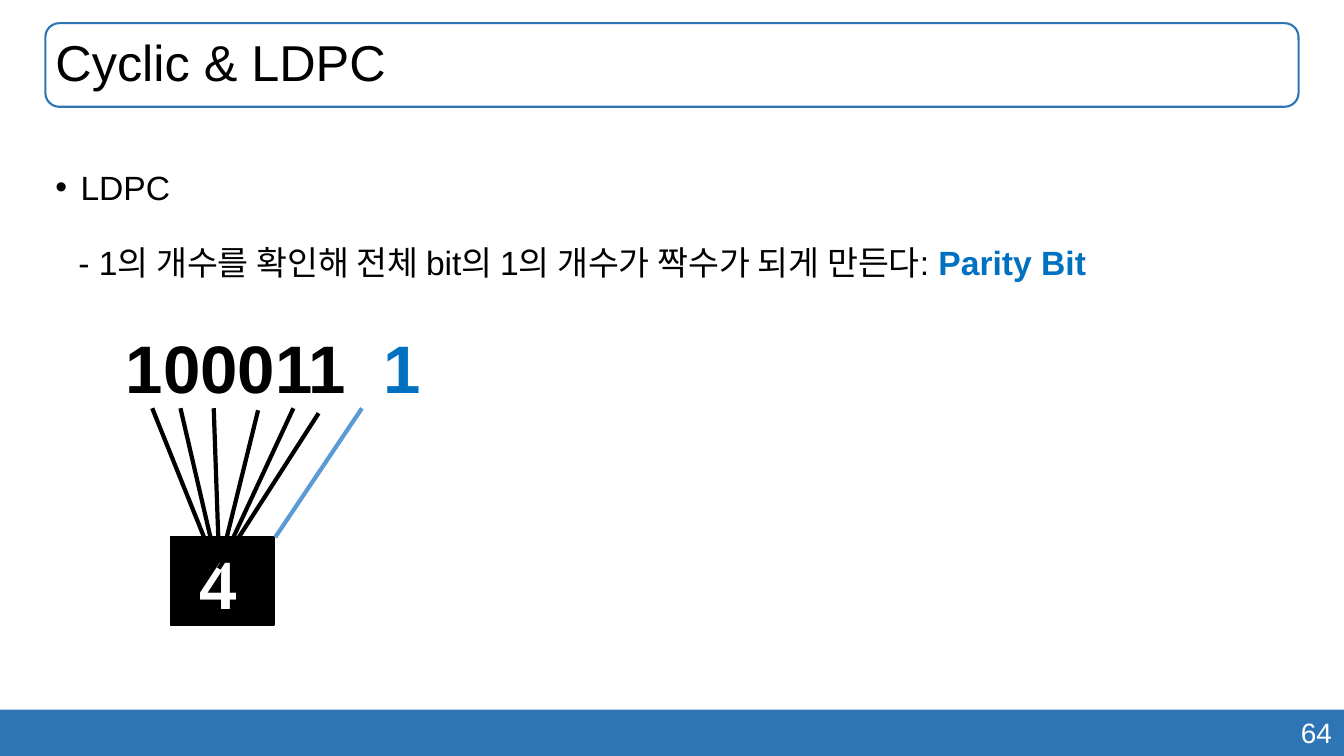
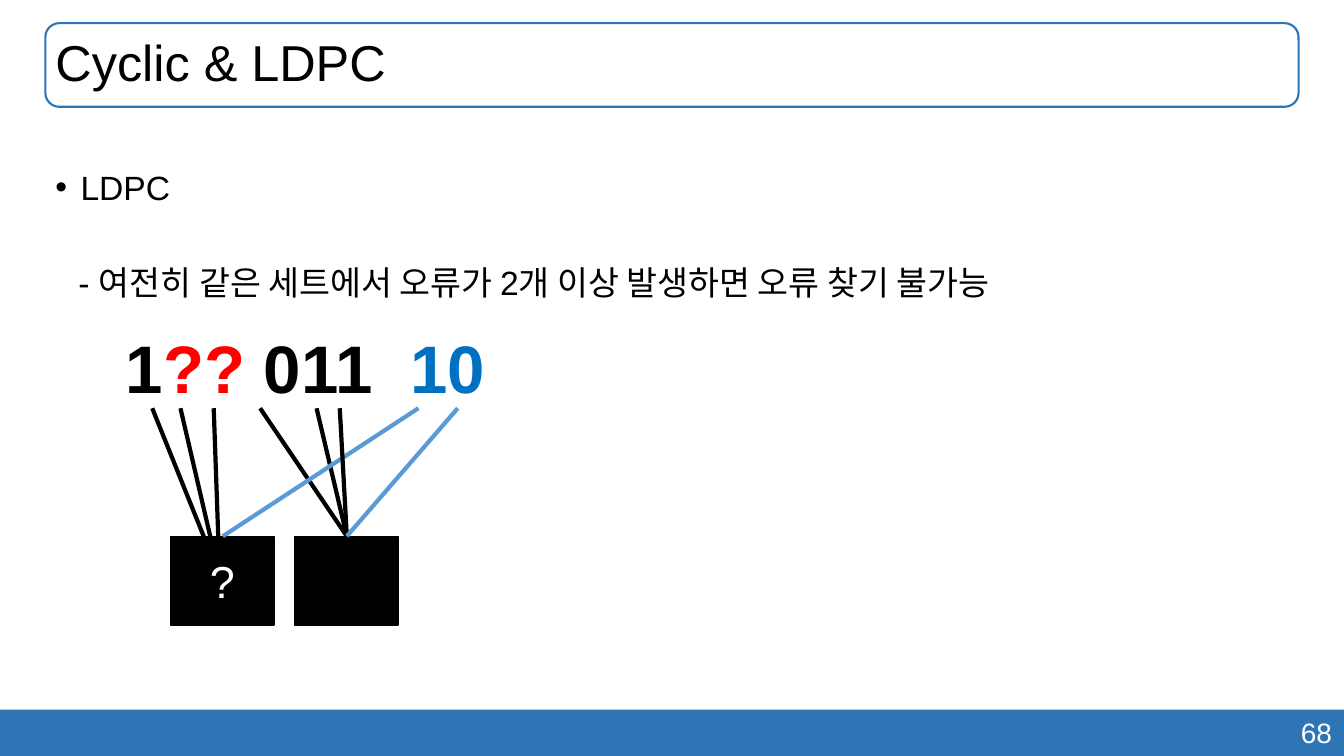
from dataclasses import dataclass

from lxml.etree import SubElement
from pptx import Presentation
from pptx.dml.color import RGBColor
from pptx.enum.shapes import MSO_CONNECTOR as Connector, MSO_SHAPE as Shape
from pptx.enum.text import MSO_ANCHOR as Anchor, PP_ALIGN as Align
from pptx.oxml.ns import qn
from pptx.util import Inches, Pt


@dataclass(frozen=True)
class Theme:
    font: str = "Arial"
    black: str = "000000"
    white: str = "FFFFFF"
    band: str = "2E75B6"
    parity: str = "0070C0"
    parity_link: str = "5B9BD5"
    error: str = "FF0000"
    title_size: int = 36
    body_size: int = 24
    number_size: int = 20
    bits_size: int = 48
    unknown_size: int = 32
    frame_width: float = 1.5
    link_width: float = 3


THEME = Theme()


@dataclass(frozen=True)
class Span:
    text: str
    color: str = THEME.black
    bold: bool = False


@dataclass(frozen=True)
class Box:
    left: float
    top: float
    width: float
    height: float


@dataclass(frozen=True)
class Link:
    """A line from a bit down to its check node."""
    start: tuple[float, float]
    end: tuple[float, float]
    color: str = THEME.black


@dataclass(frozen=True)
class CheckNode:
    left: float
    label: str = ""
    size: int = THEME.bits_size
    bold: bool = False
    margin_top: float = 0
    margin_right: float = 0


@dataclass(frozen=True)
class ParitySlide:
    number: int
    statement: list[Span]
    statement_spacing: float
    data_bits: list[Span]
    parity_bits: str
    parity_left: float
    nodes: list[CheckNode]
    links: list[Link]


TITLE = "Cyclic & LDPC"
TOPIC = "LDPC"
BITS_TOP, BITS_BOTTOM = 3.19, 4.05
NODE_TOP, NODE_WIDTH, NODE_HEIGHT = 5.32, 1.03, 0.88
FIRST_NODE, SECOND_NODE = 1.69, 2.92
SECOND_HUB = (3.44, NODE_TOP)

SHARED_LINKS = [
    Link((start, BITS_BOTTOM), (end, 5.47))
    for start, end in ((1.51, 2.08), (1.79, 2.12), (2.12, 2.17))
]

SLIDES = [
    ParitySlide(
        number=64,
        statement=[
            Span("- 1의 개수를 확인해 전체 bit의 1의 개수가 짝수가 되게 만든다:"),
            Span(" Parity Bit", THEME.parity, True),
        ],
        statement_spacing=1.0,
        data_bits=[Span("100011", bold=True)],
        parity_bits="1",
        parity_left=3.71,
        nodes=[CheckNode(FIRST_NODE, "4", bold=True, margin_top=0.05, margin_right=0.08)],
        links=SHARED_LINKS + [
            Link((2.56, 4.07), (2.21, 5.49)),
            Link((2.91, BITS_BOTTOM), (2.25, 5.47)),
            Link((3.59, BITS_BOTTOM), (2.73, 5.33), THEME.parity_link),
            Link((3.16, 4.1), (2.17, 5.64)),
        ],
    ),
    ParitySlide(
        number=68,
        statement=[Span("- 여전히 같은 세트에서 오류가 2개 이상 발생하면 오류 찾기 불가능")],
        statement_spacing=1.5,
        data_bits=[
            Span("1", bold=True),
            Span("??", THEME.error, True),
            Span(" 011", bold=True),
        ],
        parity_bits="10",
        parity_left=3.97,
        nodes=[CheckNode(FIRST_NODE, "?", THEME.unknown_size), CheckNode(SECOND_NODE)],
        links=SHARED_LINKS + [
            Link((2.58, BITS_BOTTOM), SECOND_HUB),
            Link((3.14, BITS_BOTTOM), SECOND_HUB),
            Link((4.15, BITS_BOTTOM), (2.21, NODE_TOP), THEME.parity_link),
            Link((3.37, BITS_BOTTOM), SECOND_HUB),
            Link((4.54, BITS_BOTTOM), SECOND_HUB, THEME.parity_link),
        ],
    ),
]


def rgb(color: str) -> RGBColor:
    return RGBColor.from_string(color)


def add_spans(paragraph, spans: list[Span], size: int) -> None:
    for span in spans:
        run = paragraph.add_run()
        run.text = span.text
        run.font.name = THEME.font
        run.font.size = Pt(size)
        run.font.bold = span.bold
        run.font.color.rgb = rgb(span.color)


def add_text(slide, box: Box, spans: list[Span], size: int, spacing: float = 1.0):
    """Add a one-paragraph text box and return the paragraph."""
    shape = slide.shapes.add_textbox(
        Inches(box.left), Inches(box.top), Inches(box.width), Inches(box.height))
    shape.text_frame.word_wrap = True
    paragraph = shape.text_frame.paragraphs[0]
    paragraph.line_spacing = spacing
    add_spans(paragraph, spans, size)
    return paragraph


def add_panel(slide, kind: Shape, box: Box, fill: str | None = None,
              line: str | None = None, line_width: float = 1):
    shape = slide.shapes.add_shape(
        kind, Inches(box.left), Inches(box.top), Inches(box.width), Inches(box.height))
    shape.shadow.inherit = False
    if fill:
        shape.fill.solid()
        shape.fill.fore_color.rgb = rgb(fill)
    else:
        shape.fill.background()
    if line:
        shape.line.color.rgb = rgb(line)
        shape.line.width = Pt(line_width)
    else:
        shape.line.fill.background()
    return shape


def add_frame(slide, number: int) -> None:
    """Draw the footer band, slide number and title frame."""
    add_panel(slide, Shape.RECTANGLE, Box(0, 7.04, 13.33, 0.46), fill=THEME.band)
    number_paragraph = add_text(
        slide, Box(9.41, 7.05, 3.9, 0.44), [Span(str(number), THEME.white)], THEME.number_size)
    number_paragraph.alignment = Align.RIGHT

    title = add_panel(slide, Shape.ROUNDED_RECTANGLE, Box(0.45, 0.23, 12.43, 0.83),
                      line=THEME.band, line_width=THEME.frame_width)
    text_frame = title.text_frame
    text_frame.vertical_anchor = Anchor.MIDDLE
    text_frame.margin_left = Inches(0.06)
    paragraph = text_frame.paragraphs[0]
    paragraph.alignment = Align.LEFT
    paragraph.line_spacing = 0.9
    add_spans(paragraph, [Span(TITLE)], THEME.title_size)


def add_topic(slide) -> None:
    paragraph = add_text(
        slide, Box(0.45, 1.41, 12.21, 0.7), [Span(TOPIC)], THEME.body_size, 1.5)
    properties = paragraph._p.get_or_add_pPr()
    properties.set("marL", str(Inches(0.25)))
    properties.set("indent", str(-Inches(0.25)))
    SubElement(properties, qn("a:buFont"), typeface=THEME.font)
    SubElement(properties, qn("a:buChar"), char="•")


def add_node(slide, node: CheckNode) -> None:
    shape = add_panel(
        slide, Shape.RECTANGLE, Box(node.left, NODE_TOP, NODE_WIDTH, NODE_HEIGHT),
        fill=THEME.black, line=THEME.black)
    if not node.label:
        return
    text_frame = shape.text_frame
    text_frame.vertical_anchor = Anchor.MIDDLE
    text_frame.margin_left = text_frame.margin_bottom = 0
    text_frame.margin_top = Inches(node.margin_top)
    text_frame.margin_right = Inches(node.margin_right)
    paragraph = text_frame.paragraphs[0]
    paragraph.alignment = Align.CENTER
    add_spans(paragraph, [Span(node.label, THEME.white, node.bold)], node.size)


def add_link(slide, link: Link) -> None:
    points = [Inches(value) for value in (*link.start, *link.end)]
    connector = slide.shapes.add_connector(Connector.STRAIGHT, *points)
    connector.line.color.rgb = rgb(link.color)
    connector.line.width = Pt(THEME.link_width)
    SubElement(connector._element.spPr, qn("a:effectLst"))


def build_slide(presentation, content: ParitySlide) -> None:
    slide = presentation.slides.add_slide(presentation.slide_layouts[6])
    add_frame(slide, content.number)
    add_topic(slide)
    add_text(slide, Box(0.68, 2.35, 12, 0.5), content.statement,
             THEME.body_size, content.statement_spacing)
    add_text(slide, Box(1.15, BITS_TOP, 2.7, 0.91), content.data_bits, THEME.bits_size)
    add_text(slide, Box(content.parity_left, BITS_TOP, 1.2, 0.91),
             [Span(content.parity_bits, THEME.parity, True)], THEME.bits_size)
    for node in content.nodes:
        add_node(slide, node)
    for link in content.links:
        add_link(slide, link)


def main() -> None:
    presentation = Presentation()
    presentation.slide_width = Inches(13.33)
    presentation.slide_height = Inches(7.5)
    for content in SLIDES:
        build_slide(presentation, content)
    presentation.save("out.pptx")


if __name__ == "__main__":
    main()
